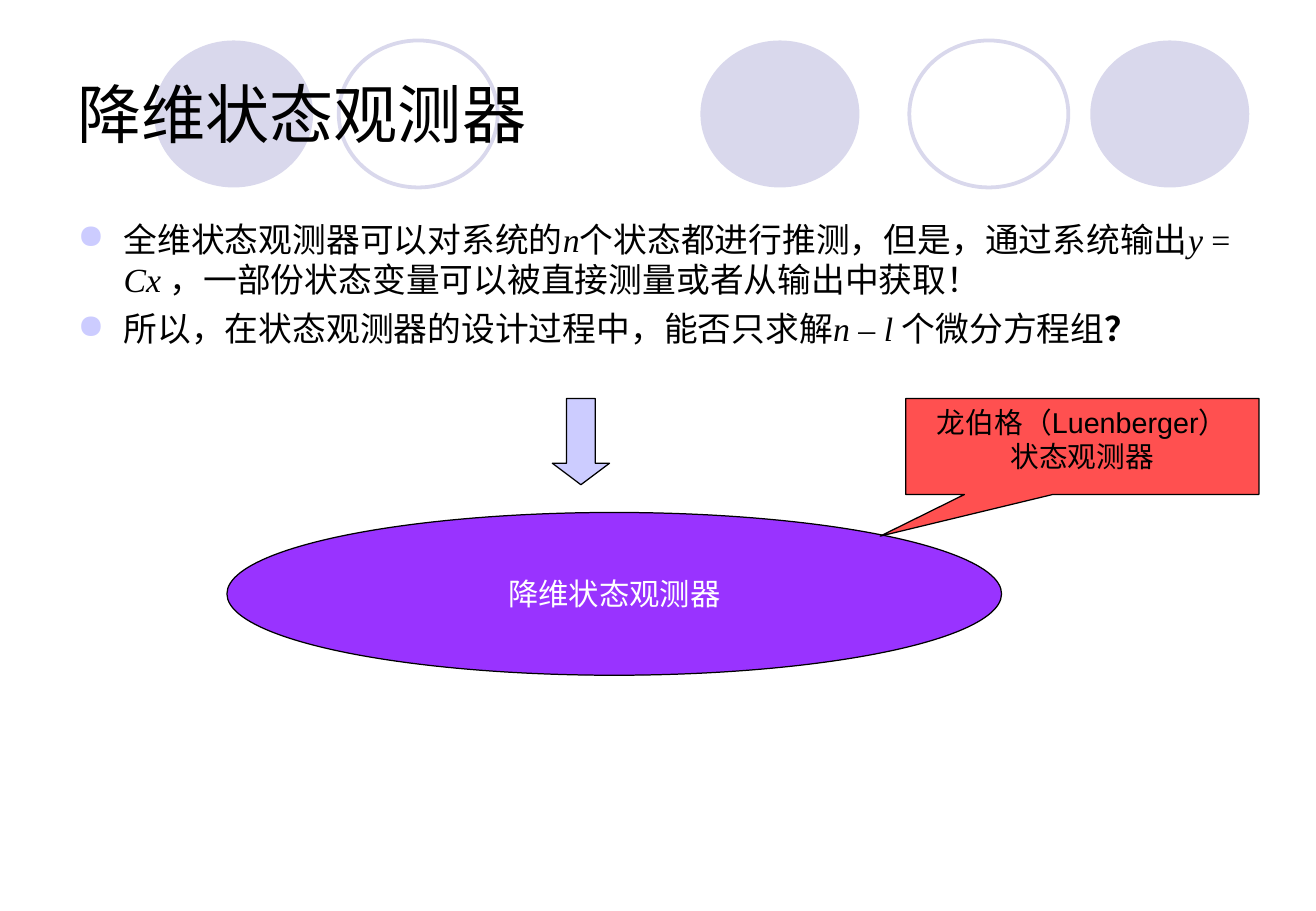
from dataclasses import dataclass

from lxml.etree import SubElement
from pptx import Presentation
from pptx.dml.color import RGBColor as Rgb
from pptx.enum.shapes import MSO_SHAPE as Shape
from pptx.enum.text import MSO_ANCHOR as Anchor, PP_ALIGN as Align
from pptx.oxml.ns import qn
from pptx.util import Pt


@dataclass(frozen=True)
class Theme:
    black: Rgb = Rgb.from_string("000000")
    white: Rgb = Rgb.from_string("FFFFFF")
    pale: Rgb = Rgb.from_string("D9D8EC")
    lilac: Rgb = Rgb.from_string("CCCCFF")
    purple: Rgb = Rgb.from_string("9933FF")
    red: Rgb = Rgb.from_string("FF5050")
    sans: str = "Arial"
    serif: str = "Times New Roman"
    title: int = 38
    body: int = 20
    oval: int = 18
    callout: int = 17
    outline: float = 0.75
    ring: float = 2.25


THEME = Theme()
PAGE_SIZE = (780.48, 540)
MARGIN, TEXT_WIDTH = 38.9, 702
BULLET_INDENT = 27.36

TITLE = "降维状态观测器"
# Each span: text, style ("" sans, "m" maths, "i" italic maths, "b" bold)
BULLETS = [
    [
        ("全维状态观测器可以对系统的", ""),
        ("n", "i"),
        ("个状态都进行推测，但是，通过系统输出", ""),
        ("y", "i"),
        (" = ", "m"),
        ("Cx ", "i"),
        ("，一部份状态变量可以被直接测量或者从输出中获取！", ""),
    ],
    [
        ("所以，在状态观测器的设计过程中，能否只求解", ""),
        ("n", "i"),
        (" – ", "m"),
        ("l ", "i"),
        ("个微分方程组", ""),
        ("？", "b"),
    ],
]
OVAL_TEXT = ["降维状态观测器"]
CALLOUT_TEXT = ["龙伯格（Luenberger）", "状态观测器"]

# Decorative circles: left edge, filled or ring
CIRCLES = [(91.4, True), (200.9, False), (415.4, True), (539.3, False), (646.6, True)]
CIRCLE_TOP, CIRCLE_SIZE = 24, (94.3, 87.1)


def add_figure(page, kind, bounds, fill=None, line=None, width=THEME.outline):
    figure = page.shapes.add_shape(kind, *map(Pt, bounds))
    figure.shadow.inherit = False
    if fill is None:
        figure.fill.background()
    else:
        figure.fill.solid()
        figure.fill.fore_color.rgb = fill
    if line is None:
        figure.line.fill.background()
    else:
        figure.line.color.rgb = line
        figure.line.width = Pt(width)
    return figure


def style_font(font, size, color):
    font.name, font.size = THEME.sans, Pt(size)
    font.color.rgb = color


def write_lines(frame, lines, size, color, align, anchor):
    frame.vertical_anchor = anchor
    for number, line in enumerate(lines):
        para = frame.paragraphs[0] if number == 0 else frame.add_paragraph()
        para.text, para.alignment = line, align
        style_font(para.font, size, color)


def add_bullet(para):
    props = para._p.get_or_add_pPr()
    props.set("marL", str(Pt(BULLET_INDENT)))
    props.set("indent", str(-Pt(BULLET_INDENT)))
    color = SubElement(props, qn("a:buClr"))
    SubElement(color, qn("a:srgbClr"), val=str(THEME.lilac))
    SubElement(props, qn("a:buChar"), char="●")


def add_text_box(page, top, height):
    box = page.shapes.add_textbox(*map(Pt, (MARGIN, top, TEXT_WIDTH, height)))
    box.text_frame.word_wrap = True
    return box.text_frame


def add_circles(page):
    for left, filled in CIRCLES:
        bounds = (left, CIRCLE_TOP, *CIRCLE_SIZE)
        if filled:
            add_figure(page, Shape.OVAL, bounds, fill=THEME.pale)
        else:
            add_figure(page, Shape.OVAL, bounds, line=THEME.pale, width=THEME.ring)


def add_body(page):
    frame = add_text_box(page, 126, 356.4)
    for number, spans in enumerate(BULLETS):
        para = frame.paragraphs[0] if number == 0 else frame.add_paragraph()
        if number:
            para.space_before = Pt(5)
        add_bullet(para)
        style_font(para.font, THEME.body, THEME.black)
        for text, style in spans:
            span = para.add_run()
            span.text = text
            if style in ("m", "i"):
                span.font.name = THEME.serif
            if style == "i":
                span.font.italic = True
            if style == "b":
                span.font.bold = True


def add_diagram(page):
    arrow = add_figure(page, Shape.DOWN_ARROW, (327.6, 236.2, 33.9, 51.1),
                       THEME.lilac, THEME.black)
    arrow.adjustments[0], arrow.adjustments[1] = 0.5, 0.375

    oval = add_figure(page, Shape.OVAL, (134.6, 303.8, 459.4, 96.5),
                      THEME.purple, THEME.black)
    oval.text_frame.word_wrap = False
    write_lines(oval.text_frame, OVAL_TEXT, THEME.oval, THEME.white,
                Align.CENTER, Anchor.MIDDLE)

    callout = add_figure(page, Shape.RECTANGULAR_CALLOUT, (537.1, 236.2, 209.5, 56.9),
                         THEME.red, THEME.black)
    callout.adjustments[0], callout.adjustments[1] = -0.572, 0.934
    callout.text_frame.word_wrap = True
    write_lines(callout.text_frame, CALLOUT_TEXT, THEME.callout, THEME.black,
                Align.CENTER, Anchor.TOP)


def main():
    deck = Presentation()
    deck.slide_width, deck.slide_height = map(Pt, PAGE_SIZE)
    page = deck.slides.add_slide(deck.slide_layouts[6])
    add_circles(page)
    write_lines(add_text_box(page, 21.6, 90), [TITLE], THEME.title, THEME.black,
                Align.LEFT, Anchor.MIDDLE)
    add_body(page)
    add_diagram(page)
    deck.save("out.pptx")


if __name__ == "__main__":
    main()
